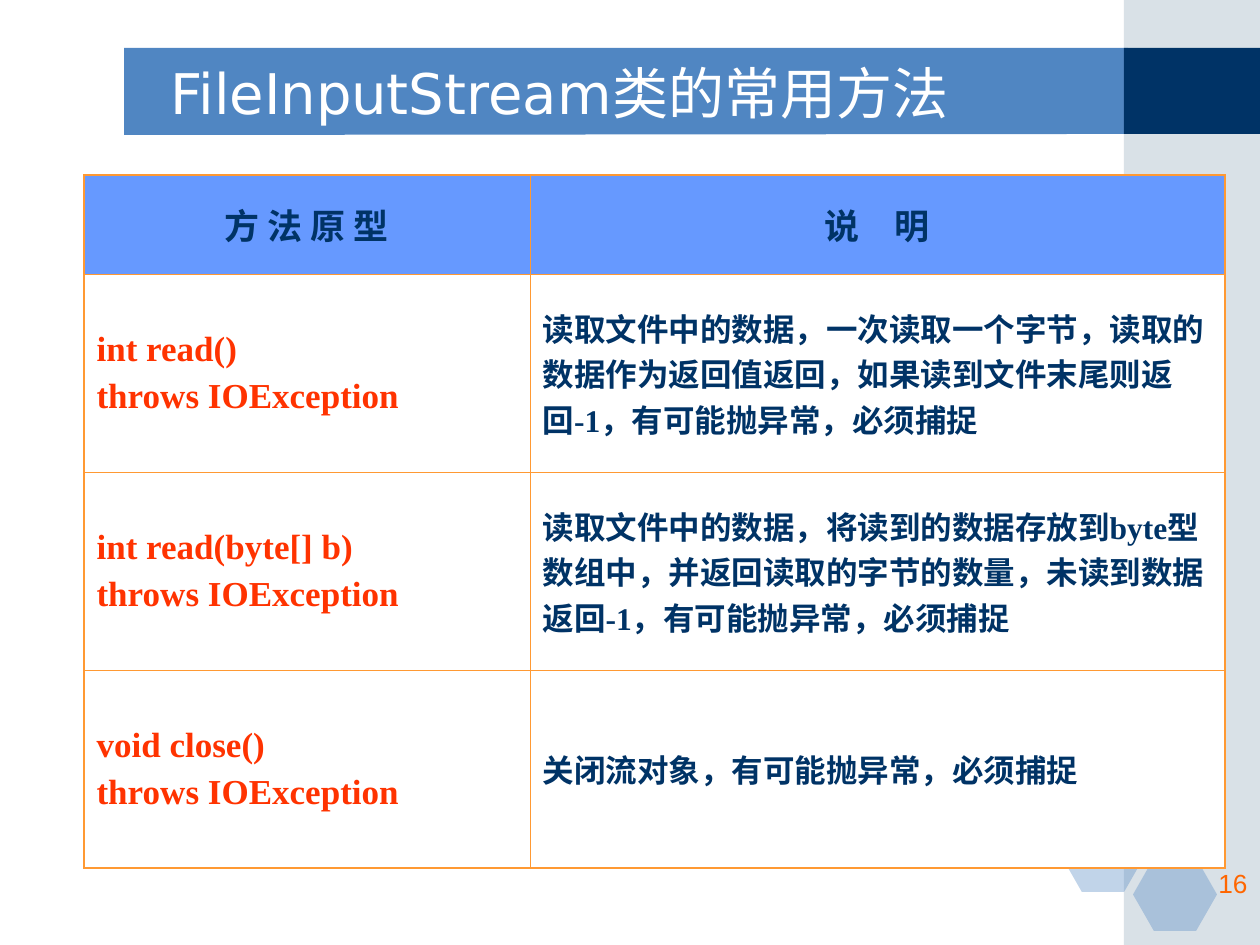
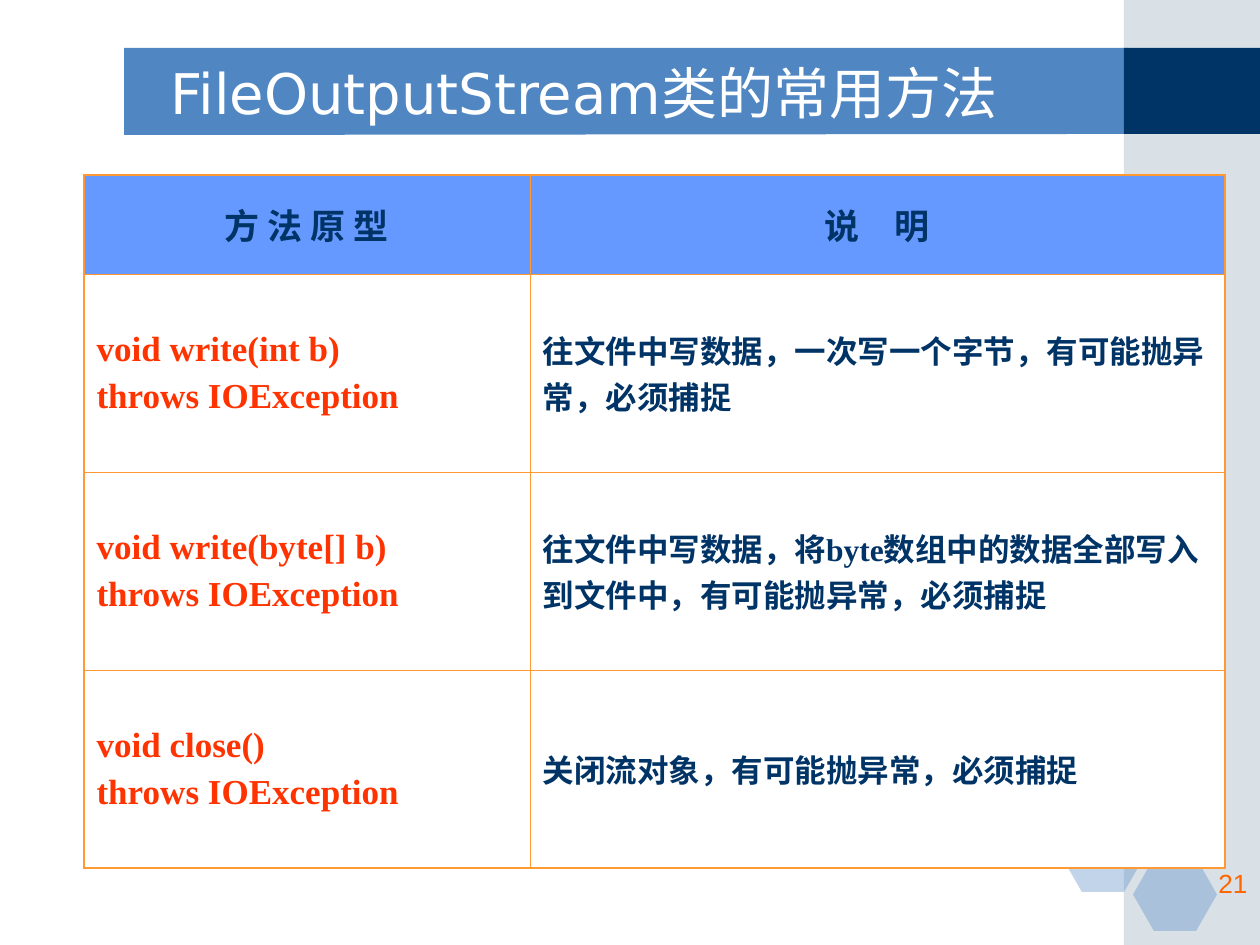
"""Build two slides listing the common methods of the Java file stream classes."""
from lxml.etree import SubElement
from pptx import Presentation
from pptx.dml.color import RGBColor
from pptx.enum.shapes import MSO_SHAPE
from pptx.enum.text import MSO_ANCHOR, PP_ALIGN
from pptx.oxml.ns import qn
from pptx.util import Pt

HEADERS = ("方 法 原 型", "说　明")
THROWS = "throws IOException"
CLOSE_METHOD = ("void close()", "关闭流对象，有可能抛异常，必须捕捉")
SLIDES = [
    {
        "title": "FileInputStream类的常用方法",
        "number": "16",
        "methods": [
            ("int read()", "读取文件中的数据，一次读取一个字节，读取的数据作为返回值返回，"
             "如果读到文件末尾则返回-1，有可能抛异常，必须捕捉"),
            ("int read(byte[] b)", "读取文件中的数据，将读到的数据存放到byte型数组中，"
             "并返回读取的字节的数量，未读到数据返回-1，有可能抛异常，必须捕捉"),
            CLOSE_METHOD,
        ],
    },
    {
        "title": "FileOutputStream类的常用方法",
        "number": "21",
        "methods": [
            ("void write(int b)", "往文件中写数据，一次写一个字节，有可能抛异常，必须捕捉"),
            ("void write(byte[] b)", "往文件中写数据，将byte数组中的数据全部写入到文件中，"
             "有可能抛异常，必须捕捉"),
            CLOSE_METHOD,
        ],
    },
]

WHITE = RGBColor(0xFF, 0xFF, 0xFF)
NAVY = RGBColor(0x00, 0x33, 0x66)
BAND_BLUE = RGBColor(0x50, 0x86, 0xC2)
PANEL_GREY = RGBColor(0xA0, 0xB5, 0xC4)
HEADER_BLUE = RGBColor(0x66, 0x99, 0xFF)
METHOD_RED = RGBColor(0xFF, 0x33, 0x00)
NUMBER_ORANGE = RGBColor(0xFF, 0x66, 0x00)
BORDER_ORANGE = RGBColor(0xFF, 0x99, 0x33)

EMU_PER_PX = 914400 / 126
SLIDE_SIZE = (1260, 945)
BAND_OUTLINE = [(124, 48), (1128, 48), (1128, 134), (124, 135)]
PANEL_LEFT, PANEL_WIDTH = 1124, 136
HEXAGON_SIZE = (84, 73)
HEXAGON_CORNERS = [(1061, 819), (1134, 777), (1133, 858)]
TITLE_BOX = (158, 53, 924, 78)
NUMBER_BOX = (998, 861, 262, 63)
TABLE_CORNER = (84, 175)
COLUMN_WIDTHS = (446, 695)
HEADER_HEIGHT, METHOD_HEIGHT = 99, 198
OUTER_BORDER, INNER_BORDER = Pt(1.08), Pt(0.45)


def px(*lengths):
    return [round(length * EMU_PER_PX) for length in lengths]


def style_shape(shape, color, opacity=100):
    shape.shadow.inherit = False
    shape.fill.solid()
    shape.fill.fore_color.rgb = color
    shape.line.fill.background()
    if opacity < 100:
        color_element = shape.fill._xPr.find(qn("a:solidFill"))[0]
        SubElement(color_element, qn("a:alpha"), val=str(opacity * 1000))


def write_lines(frame, lines, font_name, size, color, bold=False, align=PP_ALIGN.LEFT):
    frame.word_wrap = True
    for index, line in enumerate(lines):
        paragraph = frame.add_paragraph() if index else frame.paragraphs[0]
        paragraph.text = line
        paragraph.alignment = align
        if index:
            paragraph.space_before = Pt(size / 4)
        font = paragraph.font
        font.name, font.size, font.bold = font_name, Pt(size), bold
        font.color.rgb = color


def add_backdrop(slide):
    shapes = slide.shapes
    builder = shapes.build_freeform(*BAND_OUTLINE[0], scale=EMU_PER_PX)
    builder.add_line_segments(BAND_OUTLINE[1:], close=True)
    style_shape(builder.convert_to_shape(), BAND_BLUE)
    for top, height, color, opacity in ((0, SLIDE_SIZE[1], PANEL_GREY, 40), (48, 86, NAVY, 100)):
        panel = shapes.add_shape(MSO_SHAPE.RECTANGLE, *px(PANEL_LEFT, top, PANEL_WIDTH, height))
        style_shape(panel, color, opacity)
    for corner in HEXAGON_CORNERS:
        hexagon = shapes.add_shape(MSO_SHAPE.HEXAGON, *px(*corner, *HEXAGON_SIZE))
        hexagon.adjustments[0] = 0.286
        style_shape(hexagon, BAND_BLUE, 35)


def add_text(slide, box, text, font_name, size, color, align=PP_ALIGN.LEFT, anchor=MSO_ANCHOR.TOP):
    frame = slide.shapes.add_textbox(*px(*box)).text_frame
    frame.vertical_anchor = anchor
    write_lines(frame, [text], font_name, size, color, align=align)


def style_cell(cell, fill_color, outer_sides):
    cell.vertical_anchor = MSO_ANCHOR.MIDDLE
    cell.margin_left = cell.margin_right = Pt(7.2)
    cell.margin_top = cell.margin_bottom = Pt(3.6)
    properties = cell._tc.get_or_add_tcPr()
    for side in "LRTB":
        width = OUTER_BORDER if side in outer_sides else INNER_BORDER
        line = SubElement(properties, qn(f"a:ln{side}"), w=str(width))
        line_fill = SubElement(line, qn("a:solidFill"))
        SubElement(line_fill, qn("a:srgbClr"), val=str(BORDER_ORANGE))
    cell.fill.solid()
    cell.fill.fore_color.rgb = fill_color


def add_method_table(slide, methods):
    heights = [HEADER_HEIGHT] + [METHOD_HEIGHT] * len(methods)
    table = slide.shapes.add_table(
        len(heights), len(COLUMN_WIDTHS),
        *px(*TABLE_CORNER, sum(COLUMN_WIDTHS), sum(heights))).table
    table.first_row = table.horz_banding = False
    for column, width in zip(table.columns, px(*COLUMN_WIDTHS)):
        column.width = width
    for row, height in zip(table.rows, px(*heights)):
        row.height = height

    for row_index in range(len(heights)):
        for column_index, side in enumerate("LR"):
            outer_sides = side
            if row_index == 0:
                outer_sides += "T"
            elif row_index == len(methods):
                outer_sides += "B"
            fill_color = WHITE if row_index else HEADER_BLUE
            style_cell(table.cell(row_index, column_index), fill_color, outer_sides)

    for column_index, header in enumerate(HEADERS):
        write_lines(table.cell(0, column_index).text_frame, [header],
                    "Courier New", 20, NAVY, True, PP_ALIGN.CENTER)
    for row_index, (signature, description) in enumerate(methods, start=1):
        write_lines(table.cell(row_index, 0).text_frame, [signature, THROWS],
                    "Times New Roman", 20, METHOD_RED, True)
        write_lines(table.cell(row_index, 1).text_frame, [description],
                    "Times New Roman", 18, NAVY, True)


def main():
    presentation = Presentation()
    presentation.slide_width, presentation.slide_height = px(*SLIDE_SIZE)
    for content in SLIDES:
        slide = presentation.slides.add_slide(presentation.slide_layouts[6])
        add_backdrop(slide)
        add_text(slide, TITLE_BOX, content["title"], "DejaVu Sans", 32, WHITE,
                 anchor=MSO_ANCHOR.MIDDLE)
        add_text(slide, NUMBER_BOX, content["number"], "Arial", 15, NUMBER_ORANGE,
                 align=PP_ALIGN.RIGHT)
        add_method_table(slide, content["methods"])
    presentation.save("out.pptx")


if __name__ == "__main__":
    main()
